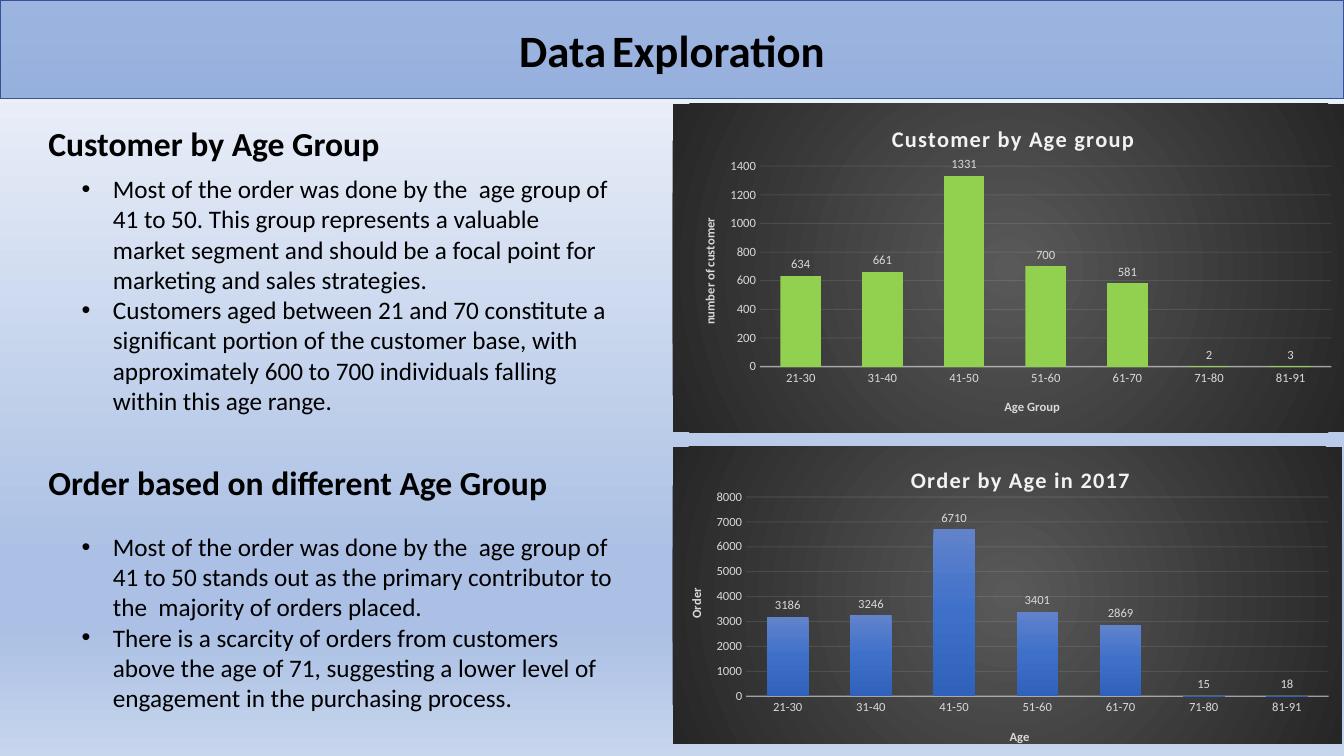
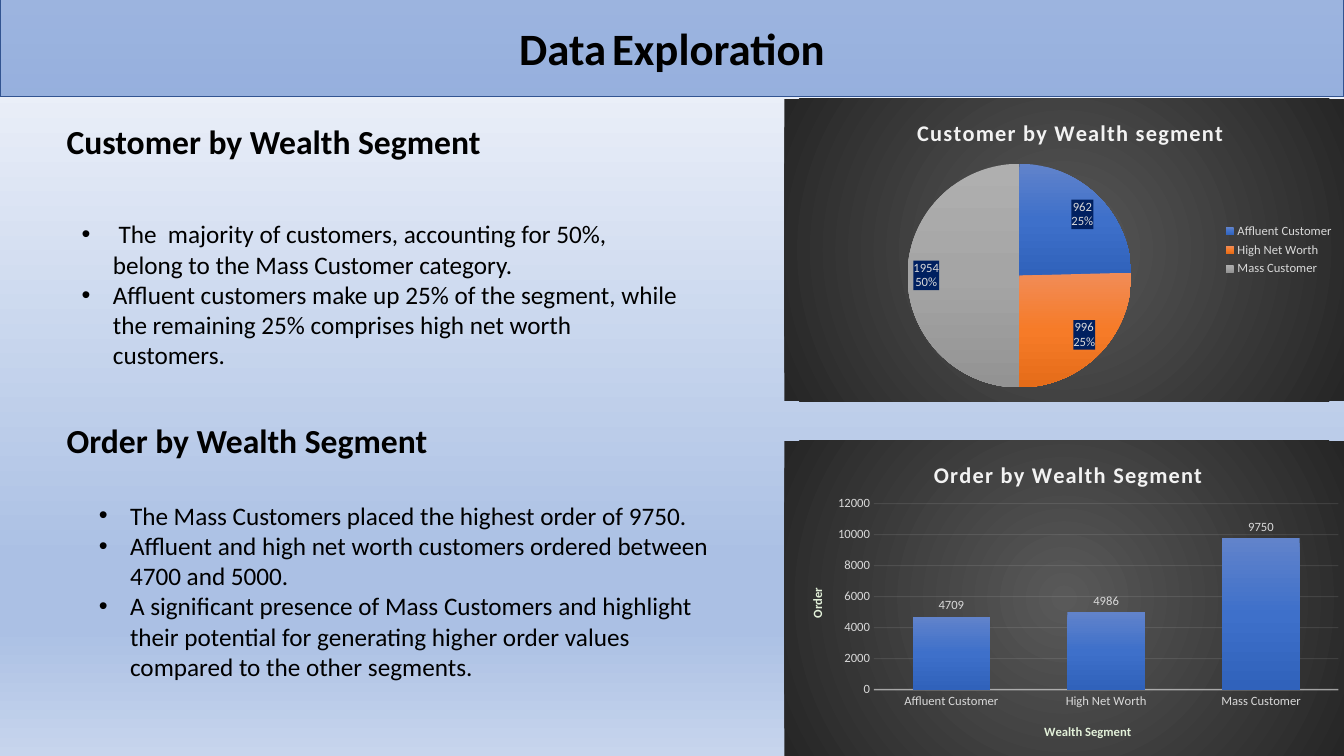
from lxml import etree
from pptx import Presentation
from pptx.chart.data import CategoryChartData
from pptx.dml.color import RGBColor
from pptx.enum.chart import XL_CHART_TYPE, XL_LABEL_POSITION, XL_LEGEND_POSITION, XL_TICK_MARK
from pptx.enum.text import MSO_ANCHOR, MSO_AUTO_SIZE, PP_ALIGN
from pptx.oxml.ns import qn
from pptx.util import Inches, Pt

COLUMN, PIE = XL_CHART_TYPE.COLUMN_CLUSTERED, XL_CHART_TYPE.PIE
OUTSIDE, INSIDE = XL_LABEL_POSITION.OUTSIDE_END, XL_LABEL_POSITION.INSIDE_END
RIGHT = XL_LEGEND_POSITION.RIGHT
NO_TICK = XL_TICK_MARK.NONE
TOP, MIDDLE = MSO_ANCHOR.TOP, MSO_ANCHOR.MIDDLE
CENTER, LEFT = PP_ALIGN.CENTER, PP_ALIGN.LEFT
COMPARISON_LAYOUT = 4


class Theme:
    font = "Calibri"
    text = "000000"
    band, band_line = "4472C4", "325491"
    chart_text, chart_title, chart_line = "D9D9D9", "F2F2F2", "F2F2F2"
    pale_green = "E2F0D9"
    label_box = "002060"
    page = [(0, "F6F8FC"), (74, "ABC0E4"), (83, "ABC0E4"), (100, "C7D5ED")]
    chart_back = [(0, "595959"), (100, "262626")]
    green = [(0, "92D050"), (100, "92D050")]
    blue = [(0, "6183CB"), (50, "3E70CA"), (100, "3062BB")]
    orange = [(0, "F18C57"), (50, "F67B28"), (100, "E56C19")]
    grey = [(0, "AFAFAF"), (50, "A5A5A5"), (100, "939393")]
    title_size, title_gap_size = 32, 18
    heading_size, list_size = 24, 18
    chart_title_size, chart_size = 16, 9


AGES = ["21-30", "31-40", "41-50", "51-60", "61-70", "71-80", "81-91"]
SEGMENTS = ["Affluent Customer", "High Net Worth", "Mass Customer"]

# Boxes are left, top, width, height in inches; chart parts are fractions of the chart.
SLIDES = [
    {
        "band_top": 0,
        "sections": [
            ("Customer by Age Group", (0.38, 1.17, 5.61, 0.5), [
                "Most of the order was done by the  age group of 41 to 50. This group represents a "
                "valuable market segment and should be a focal point for marketing and sales strategies.",
                "Customers aged between 21 and 70 constitute a significant portion of the customer base, "
                "with approximately 600 to 700 individuals falling within this age range.",
            ], (0.71, 1.67, 5.49, 2.52)),
            ("Order based on different Age Group", (0.38, 4.53, 5.61, 0.5), [
                "Most of the order was done by the  age group of 41 to 50 stands out as the primary "
                "contributor to the  majority of orders placed.",
                "There is a scarcity of orders from customers above the age of 71, suggesting a lower "
                "level of engagement in the purchasing process.",
            ], (0.71, 5.22, 5.49, 1.92)),
        ],
        "charts": [
            {"kind": COLUMN, "box": (6.67, 1.03, 6.67, 3.26), "cats": AGES,
             "values": [634, 661, 1331, 700, 581, 2, 3], "fill": Theme.green,
             "title": ("Customer by Age group", (0.32, 0.05)), "plot": (0.13, 0.19, 0.85, 0.61),
             "x_title": ("Age Group", (0.49, 0.89)), "y_title": ("number of customer", (0.04, 0.34)),
             "axis_color": Theme.chart_text, "scale": (1400, 200)},
            {"kind": COLUMN, "box": (6.67, 4.43, 6.64, 2.99), "cats": AGES,
             "values": [3186, 3246, 6710, 3401, 2869, 15, 18], "fill": Theme.blue,
             "title": ("Order by Age in 2017", (0.35, 0.05)), "plot": (0.11, 0.17, 0.87, 0.67),
             "x_title": ("Age", (0.5, 0.94)), "y_title": ("Order", (0.02, 0.47)),
             "axis_color": Theme.chart_text, "scale": (8000, 1000)},
        ],
    },
    {
        "band_top": -0.02,
        "sections": [
            ("Customer by Wealth Segment", (0.56, 1.15, 5.61, 0.5), [
                " The  majority of customers, accounting for 50%, belong to the Mass Customer category.",
                "Affluent customers make up 25% of the segment, while the remaining 25% comprises "
                "high net worth customers.",
            ], (0.71, 2.12, 6.14, 1.62)),
            ("Order by Wealth Segment", (0.56, 4.12, 5.61, 0.5), [
                "The Mass Customers placed the highest order of 9750.",
                "Affluent and high net worth customers ordered between 4700 and 5000.",
                "A significant presence of Mass Customers and highlight their potential for generating "
                "higher order values compared to the other segments.",
            ], (0.88, 4.91, 6.33, 1.92)),
        ],
        "charts": [
            {"kind": PIE, "box": (7.78, 0.98, 5.55, 3), "cats": SEGMENTS,
             "values": [962, 996, 1954], "fills": [Theme.blue, Theme.orange, Theme.grey],
             "title": ("Customer by Wealth segment", (0.23, 0.05)), "plot": (0.22, 0.21, 0.4, 0.75)},
            {"kind": COLUMN, "box": (7.78, 4.37, 5.55, 3.13), "cats": SEGMENTS,
             "values": [4709, 4986, 9750], "fill": Theme.blue,
             "title": ("Order by Wealth Segment", (0.26, 0.05)), "plot": (0.16, 0.2, 0.83, 0.59),
             "x_title": ("Wealth Segment", (0.46, 0.89)), "y_title": ("Order", (0.04, 0.46)),
             "axis_color": Theme.pale_green, "scale": (12000, 2000)},
        ],
    },
]


def rgb(color):
    return RGBColor.from_string(color)


def add(parent, tag, **attrs):
    return etree.SubElement(parent, qn(tag), {k: str(v) for k, v in attrs.items()})


def set_font(font, size, color, bold=False):
    font.name, font.size, font.bold = Theme.font, Pt(size), bold
    font.color.rgb = rgb(color)


def set_alpha(element, percent):
    for color in element.iter(qn("a:srgbClr")):
        add(color, "a:alpha", val=percent * 1000)


def add_gradient(props, stops, radial=False):
    """Put a gradient first in a properties element, in place of its solid fill."""
    for old in props.findall(qn("a:solidFill")):
        props.remove(old)
    grad = add(props, "a:gradFill", rotWithShape=1)
    props.insert(0, grad)
    stop_list = add(grad, "a:gsLst")
    for position, color in stops:
        add(add(stop_list, "a:gs", pos=position * 1000), "a:srgbClr", val=color)
    if radial:
        add(add(grad, "a:path", path="circle"), "a:fillToRect", l=50000, t=50000, r=50000, b=50000)
    else:
        add(grad, "a:lin", ang=5400000, scaled=0)


def place_part(element, box, inner=False):
    """Give a chart title or plot area a manual layout."""
    for old in element.findall(qn("c:layout")):
        element.remove(old)
    layout = add(element, "c:layout")
    element.insert(0 if inner else 1, layout)
    manual = add(layout, "c:manualLayout")
    if inner:
        add(manual, "c:layoutTarget", val="inner")
    for name in ("xMode", "yMode"):
        add(manual, f"c:{name}", val="edge")
    for name, value in zip("xywh", box):
        add(manual, f"c:{name}", val=value)


def set_chart_title(title, content, size, color, spacing=0):
    text, position = content
    tf = title.text_frame
    tf.text = text
    p = tf.paragraphs[0]
    set_font(p.font, size, color, bold=True)
    r = p.runs[0]
    set_font(r.font, size, color, bold=True)
    r.font._element.set("spc", str(spacing))
    place_part(title._element, position)


def style_axes(chart, data):
    for axis, key in ((chart.category_axis, "x_title"), (chart.value_axis, "y_title")):
        axis.major_tick_mark = axis.minor_tick_mark = NO_TICK
        set_font(axis.tick_labels.font, Theme.chart_size, Theme.chart_text)
        set_chart_title(axis.axis_title, data[key], Theme.chart_size, data["axis_color"])
    cat, val = chart.category_axis, chart.value_axis
    cat.has_major_gridlines = False
    val.has_major_gridlines = True
    val.minimum_scale = 0
    val.maximum_scale, val.major_unit = data["scale"]
    val.format.line.fill.background()
    grid = val.major_gridlines
    for line, width in ((cat.format.line, 1), (grid.format.line, 0.75)):
        line.width = Pt(width)
        line.color.rgb = rgb(Theme.chart_line)
    set_alpha(cat._element.find(qn("c:spPr")), 54)
    set_alpha(val._element.find(qn("c:majorGridlines")), 10)


def style_columns(chart, data):
    plot = chart.plots[0]
    plot.gap_width, plot.overlap, plot.vary_by_categories = 100, -24, False
    series = plot.series[0]
    series.format.fill.solid()
    series.invert_if_negative = False
    add_gradient(series._element.find(qn("c:spPr")), data["fill"])
    series.data_labels.position = OUTSIDE
    style_axes(chart, data)


def style_pie(chart, data):
    series = chart.plots[0].series[0]
    for i, stops in enumerate(data["fills"]):
        series.points[i].format.fill.solid()
        add_gradient(series._element.findall(qn("c:dPt"))[i].find(qn("c:spPr")), stops)
    labels = series.data_labels
    labels.show_percentage = True
    labels.position = INSIDE
    element = labels._element
    box = add(element, "c:spPr")
    add(add(box, "a:solidFill"), "a:srgbClr", val=Theme.label_box)
    element.find(qn("c:txPr")).addprevious(box)
    separator = add(element, "c:separator")
    separator.text = "\n"
    element.find(qn("c:showBubbleSize")).addnext(separator)
    chart.has_legend = True
    chart.legend.position = RIGHT
    chart.legend.include_in_layout = False
    set_font(chart.legend.font, Theme.chart_size, Theme.chart_text)


def add_dark_chart(s, data):
    chart_data = CategoryChartData()
    chart_data.categories = data["cats"]
    chart_data.add_series("Series 1", data["values"])
    chart = s.shapes.add_chart(data["kind"], *map(Inches, data["box"]), chart_data).chart
    set_font(chart.font, Theme.chart_size, Theme.chart_text)
    chart.has_legend = False
    set_chart_title(chart.chart_title, data["title"], Theme.chart_title_size, Theme.chart_title, 100)
    frame = chart.element.find(qn("c:chart"))
    place_part(frame.find(qn("c:plotArea")), data["plot"], inner=True)
    back = add(chart.element, "c:spPr")
    add_gradient(back, Theme.chart_back, radial=True)
    add(add(back, "a:ln"), "a:noFill")
    frame.addnext(back)
    labels = chart.plots[0].series[0].data_labels
    labels.show_value = True
    set_font(labels.font, Theme.chart_size, Theme.chart_text)
    (style_pie if data["kind"] == PIE else style_columns)(chart, data)


def fill_placeholder(shape, box, lines, size, bold=False, bullets=False):
    shape.left, shape.top, shape.width, shape.height = map(Inches, box)
    tf = shape.text_frame
    tf.text = "\n".join(lines)
    tf.word_wrap, tf.auto_size, tf.vertical_anchor = True, MSO_AUTO_SIZE.NONE, TOP
    for p in tf.paragraphs:
        p.alignment, p.space_before = LEFT, Pt(0)
        set_font(p.font, size, Theme.text, bold)
        if bullets:
            pPr = p._p.get_or_add_pPr()
            pPr.set("marL", str(Inches(0.31)))
            pPr.set("indent", str(-Inches(0.31)))


def set_title_band(title, top):
    title.left, title.top, title.width, title.height = map(Inches, (0, top, 13.33, 0.98))
    title.fill.solid()
    title.fill.fore_color.rgb = rgb(Theme.band)
    set_alpha(title._element.spPr, 50)
    title.line.color.rgb = rgb(Theme.band_line)
    title.line.width = Pt(1)
    tf = title.text_frame
    tf.vertical_anchor, tf.auto_size = MIDDLE, MSO_AUTO_SIZE.NONE
    p = tf.paragraphs[0]
    p.alignment = CENTER
    set_font(p.font, Theme.title_size, Theme.text, bold=True)
    for word in ("Data", " ", "Exploration"):
        r = p.add_run()
        r.text = word
        if word == " ":
            r.font.size = Pt(Theme.title_gap_size)


def main():
    prs = Presentation()
    prs.slide_width, prs.slide_height = Inches(13.33), Inches(7.5)
    master = prs.slide_master
    master.background.fill.solid()
    add_gradient(next(master._element.iter(qn("p:bgPr"))), Theme.page)
    for content in SLIDES:
        s = prs.slides.add_slide(prs.slide_layouts[COMPARISON_LAYOUT])
        set_title_band(s.shapes.title, content["band_top"])
        holders = {ph.placeholder_format.idx: ph for ph in s.placeholders}
        for i, (heading, heading_box, points, list_box) in enumerate(content["sections"]):
            fill_placeholder(holders[2 * i + 1], heading_box, [heading], Theme.heading_size, bold=True)
            fill_placeholder(holders[2 * i + 2], list_box, points, Theme.list_size, bullets=True)
        for data in content["charts"]:
            add_dark_chart(s, data)
    prs.save("out.pptx")


if __name__ == "__main__":
    main()
